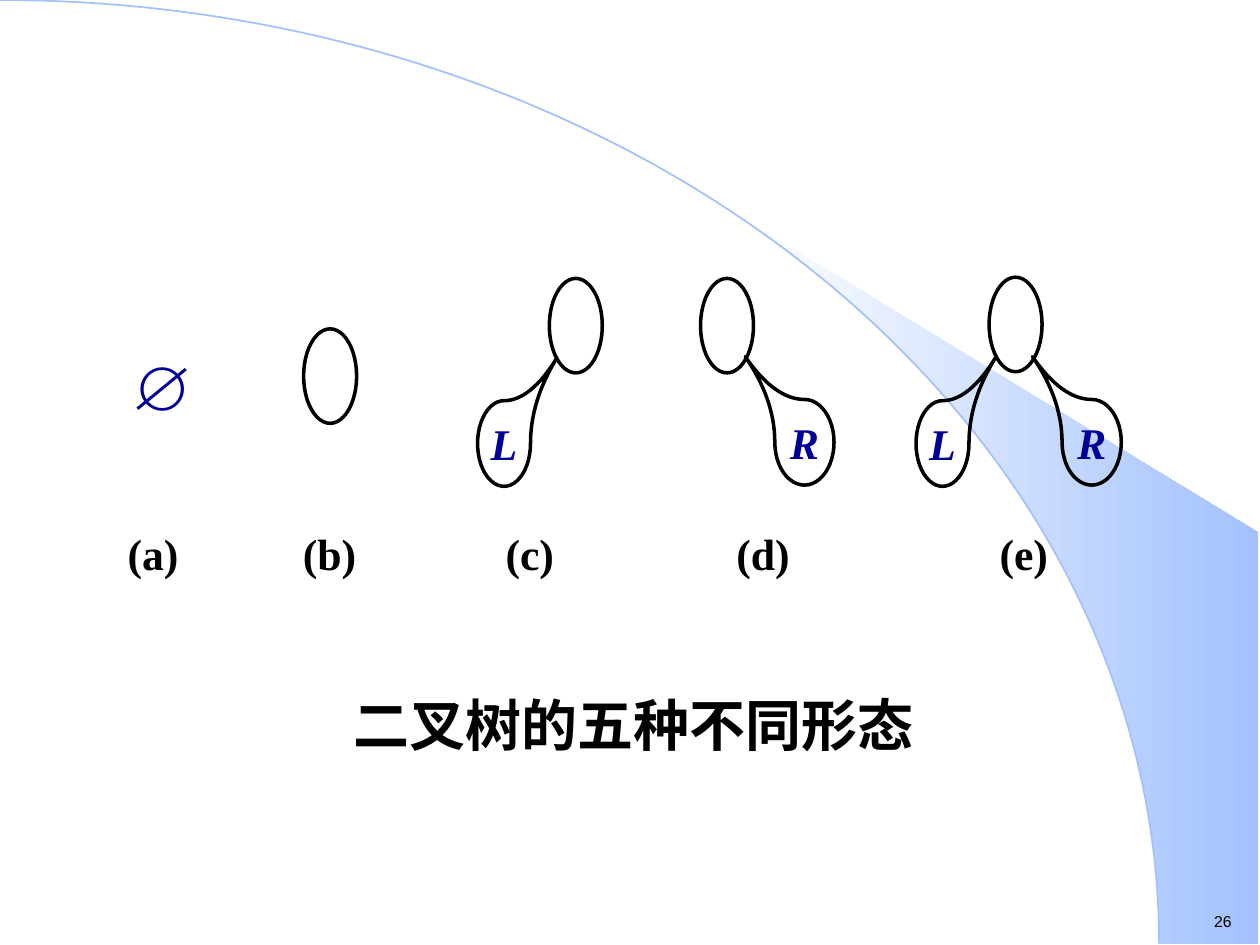
from math import cos, pi, sin

from pptx import Presentation
from pptx.dml.color import RGBColor
from pptx.enum.shapes import MSO_SHAPE as SHAPE
from pptx.enum.text import MSO_ANCHOR as ANCHOR, PP_ALIGN as ALIGN
from pptx.util import Inches, Pt

COLORS = {"ink": "000000", "symbol": "000099", "sky": "A2C1FE", "paper": "FFFFFF"}
SERIF = "Times New Roman"


def rgb(name):
    return RGBColor.from_string(COLORS[name])


def write(sp, text, size, color="ink", font=SERIF, bold=True, italic=False,
          margins=(0, 0, 0, 0), anchor=ANCHOR.MIDDLE, wrap=True):
    """Put one centred paragraph in a shape; margins are left, top, right, bottom."""
    tf = sp.text_frame
    tf.word_wrap = wrap
    tf.vertical_anchor = anchor
    tf.margin_left, tf.margin_top, tf.margin_right, tf.margin_bottom = map(Inches, margins)
    p = tf.paragraphs[0]
    p.text = text
    p.alignment = ALIGN.CENTER
    p.font.size = Pt(size)
    p.font.name = font
    p.font.bold = bold
    p.font.italic = italic
    p.font.color.rgb = rgb(color)


prs = Presentation()
prs.slide_width, prs.slide_height = Inches(10), Inches(7.5)
s = prs.slides.add_slide(prs.slide_layouts[6])
shapes = s.shapes

# Background: a quarter ellipse and the shaded wedge outside its lower part
ARC_W, ARC_H, STEPS = 9.2, 7.49, 90
arc = [(ARC_W * sin(t), ARC_H * (1 - cos(t)))
       for t in (pi / 2 * i / STEPS for i in range(STEPS + 1))]
wedge = [(9.99, 7.49), (9.99, 4.23), (5.89, 1.73)] + [pt for pt in arc if pt[0] > 5.89]
for points, closed in ((wedge, True), (arc, False)):
    points = [(Inches(x), Inches(y)) for x, y in points]
    builder = shapes.build_freeform(*points[0])
    builder.add_line_segments(points[1:], close=closed)
    sp = builder.convert_to_shape()
    sp.shadow.inherit = False
    if closed:
        sp.line.fill.background()
        sp.fill.gradient()
        sp.fill.gradient_angle = 0
        for stop, position, color in zip(sp.fill.gradient_stops, (0, 1), ("paper", "sky")):
            stop.position = position
            stop.color.rgb = rgb(color)
    else:
        sp.fill.background()
        sp.line.color.rgb = rgb("sky")
        sp.line.width = Pt(1)

# Tree nodes and subtrees: preset, left, top, width, height, label
ROOT, SUBTREE = SHAPE.OVAL, SHAPE.TEAR
for preset, x, y, w, h, label in (
    (SUBTREE, 7.27, 3.18, 0.42, 0.68, "L"),
    (ROOT, 7.85, 2.2, 0.42, 0.75, ""),
    (SUBTREE, 8.43, 3.17, 0.47, 0.68, "R"),
    (ROOT, 5.56, 2.21, 0.42, 0.75, ""),
    (SUBTREE, 6.15, 3.17, 0.47, 0.68, "R"),
    (SUBTREE, 3.79, 3.18, 0.42, 0.68, "L"),
    (ROOT, 4.36, 2.21, 0.42, 0.75, ""),
    (ROOT, 2.41, 2.61, 0.42, 0.75, ""),
):
    sp = shapes.add_shape(preset, Inches(x), Inches(y), Inches(w), Inches(h))
    sp.shadow.inherit = False
    sp.fill.background()
    sp.line.color.rgb = rgb("ink")
    sp.line.width = Pt(2)
    if preset == SUBTREE:
        sp.adjustments[0] = 2
        if label == "R":
            sp.element.spPr.get_or_add_xfrm().set("flipH", "1")
        write(sp, label, 25, "symbol", italic=True, wrap=False)

# Empty tree symbol
PADDING = (0.1, 0.05, 0.1, 0.05)
sp = shapes.add_textbox(Inches(0.94), Inches(2.71), Inches(0.55), Inches(0.7))
write(sp, "∅", 36, "symbol", margins=PADDING, anchor=ANCHOR.TOP)

# Labels under the five forms
for letter, x in zip("abcde", (0.94, 2.34, 3.93, 5.78, 7.85)):
    sp = shapes.add_textbox(Inches(x), Inches(4.18), Inches(0.55), Inches(0.46))
    write(sp, f"({letter})", 25, margins=(0, 0, 0, 0.04))

# Caption and page number
sp = shapes.add_textbox(Inches(1.53), Inches(5.43), Inches(7), Inches(0.63))
write(sp, "二叉树的五种不同形态", 32, margins=PADDING, anchor=ANCHOR.TOP)
sp = shapes.add_textbox(Inches(9.53), Inches(7.19), Inches(0.35), Inches(0.25))
write(sp, "26", 9, font="Arial", bold=False, margins=PADDING, anchor=ANCHOR.TOP, wrap=False)

prs.save("out.pptx")
